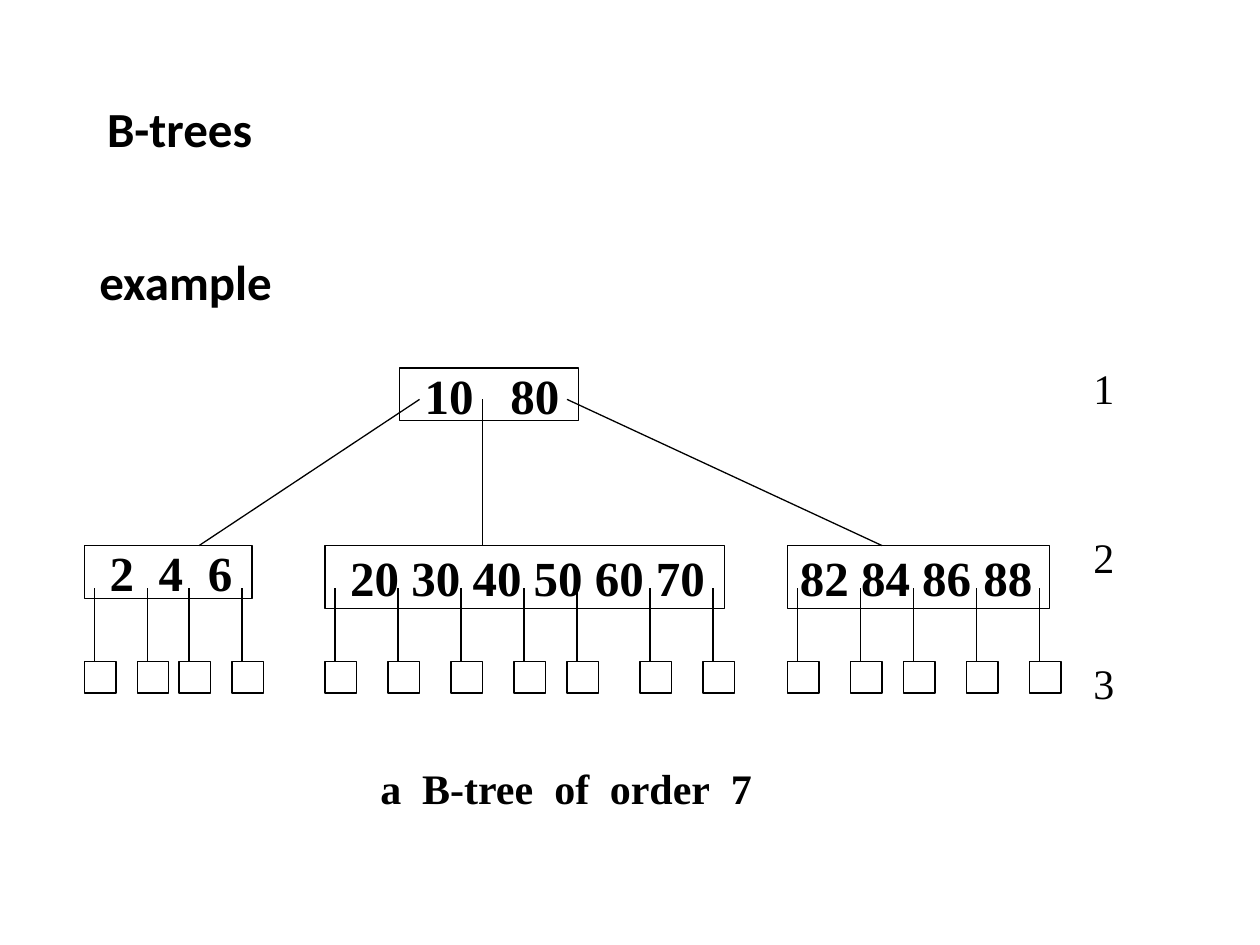
"""Build a slide that shows a B-tree of order 7."""
from lxml import etree
from pptx import Presentation, util as u
from pptx.dml.color import RGBColor
from pptx.enum import shapes, text
from pptx.oxml.ns import qn

INK = "000000"
SERIF = "Times New Roman"


def write(shape, words, size, face, bold=True, inset=0.1, stops=(), middle=False):
    frame = shape.text_frame
    frame.text = words
    frame.word_wrap = True
    frame.margin_left = u.Inches(inset)
    frame.vertical_anchor = text.MSO_ANCHOR.MIDDLE if middle else text.MSO_ANCHOR.TOP
    para = frame.paragraphs[0]
    para.alignment = text.PP_ALIGN.LEFT
    if stops:
        tabs = etree.SubElement(para._p.get_or_add_pPr(), qn("a:tabLst"))
        for stop in stops:
            etree.SubElement(tabs, qn("a:tab"), pos=str(u.Inches(stop)), algn="l")
    font = para.runs[0].font
    font.size, font.name, font.bold = u.Pt(size), face, bold
    font.color.rgb = RGBColor.from_string(INK)
    return para


def draw(kind, *spot):
    spot = [u.Inches(v) for v in spot]
    if kind == "line":
        item = slide.shapes.add_connector(shapes.MSO_CONNECTOR.STRAIGHT, *spot)
        etree.SubElement(item._element.spPr, qn("a:effectLst"))
    else:
        item = slide.shapes.add_shape(shapes.MSO_SHAPE.RECTANGLE, *spot)
        item.shadow.inherit = False
        item.fill.background()
    item.line.color.rgb = RGBColor.from_string(INK)
    item.line.width = u.Pt(0.75)
    return item


deck = Presentation()
deck.slide_width, deck.slide_height = u.Inches(10), u.Inches(7.5)
slide = deck.slides.add_slide(deck.slide_layouts[5])

title = slide.shapes.title
title.left, title.top = u.Inches(0.75), u.Inches(0.67)
title.width, title.height = u.Inches(8.5), u.Inches(0.75)
write(title, "B-trees", 28, "Calibri", middle=True).line_spacing = 0.9

body = slide.shapes.add_textbox(*map(u.Inches, (0.69, 2, 8.63, 4.76)))
write(body, "example", 28, "Calibri").line_spacing = 0.9

nodes = [
    ("10\t80", 3.17, 2.92, 1.42, 0.42, 0.2, [0.68], []),
    ("2\t4\t6", 0.67, 4.33, 1.33, 0.42, 0.2, [0.39, 0.78], [0, 0.42, 0.75, 1.17]),
    ("20 30 40 50 60 70", 2.58, 4.33, 3.17, 0.5, 0.2, [],
     [0, 0.5, 1, 1.5, 1.92, 2.5, 3]),
    ("82 84 86 88", 6.25, 4.33, 2.08, 0.5, 0.1, [], [0, 0.5, 0.92, 1.42, 1.92]),
]
for keys, left, top, wide, high, inset, stops, leaves in nodes:
    node = draw("box", left, top, wide, high)
    write(node, keys, 28, SERIF, inset=inset, stops=stops, middle=True)
    for gap in leaves:
        draw("box", left + gap, 5.25, 0.25, 0.25)
        draw("line", left + gap + 0.08, 4.67, left + gap + 0.08, 5.25)

for start, end in [(3.33, 1.58), (3.83, 3.83), (4.5, 7)]:
    draw("line", start, 3.17, end, 4.33)

for level, top in [("1", 2.83), ("2", 4.17), ("3", 5.17)]:
    label = slide.shapes.add_textbox(*map(u.Inches, (8.58, top, 0.4, 0.5)))
    write(label, level, 24, SERIF, bold=False)

note = slide.shapes.add_textbox(*map(u.Inches, (2.42, 6, 4.67, 0.5)))
write(note, "a\tB-tree\tof\torder\t7", 24, SERIF, inset=0.6,
      stops=[0.33, 1.38, 1.82, 2.78])

deck.save("out.pptx")
